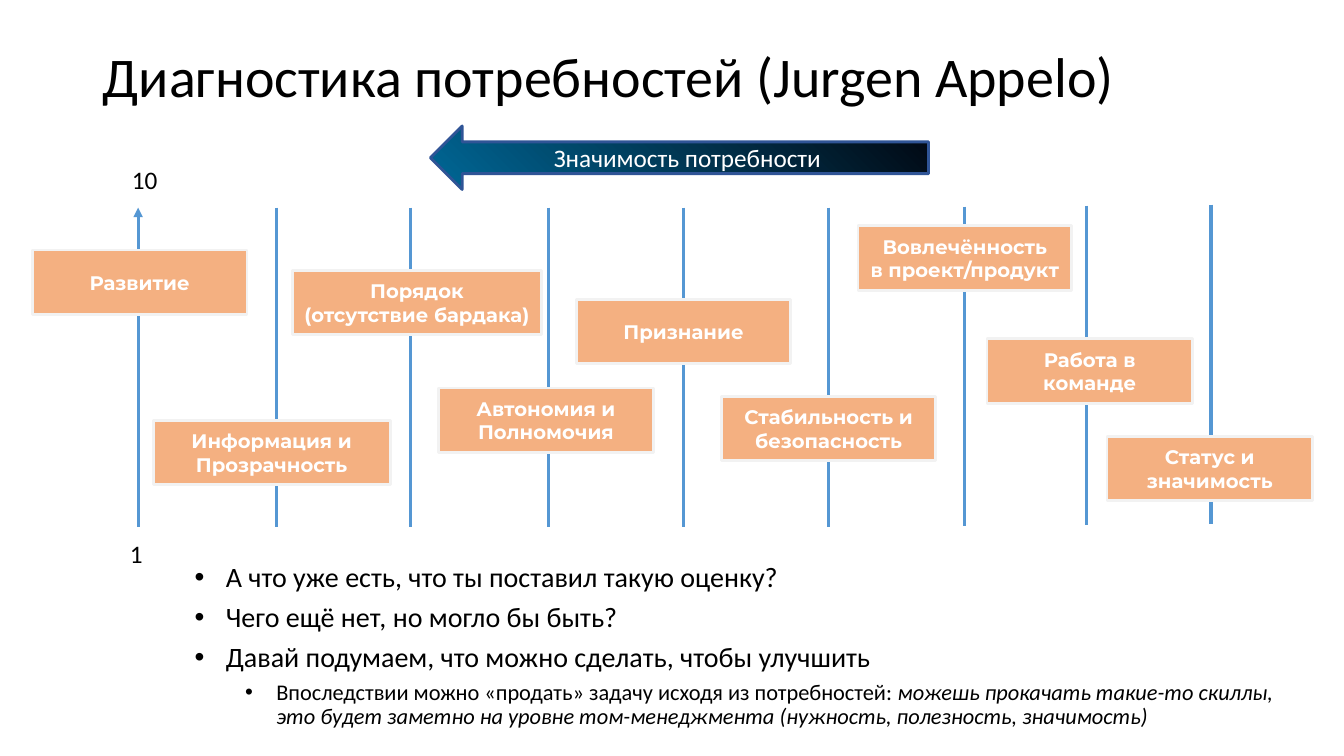
from lxml.etree import SubElement
from pptx import Presentation
from pptx.dml.color import RGBColor
from pptx.enum.shapes import MSO_CONNECTOR, MSO_SHAPE
from pptx.enum.text import MSO_ANCHOR, MSO_AUTO_SIZE, PP_ALIGN
from pptx.oxml.ns import qn
from pptx.util import Inches, Pt

COLORS = {
    "text": "000000",
    "light": "FFFFFF",
    "scale": "5597D3",
    "need": "F4B081",
    "need_border": "F2F2F2",
    "arrow_head": "006897",
    "arrow_tail": "010711",
    "arrow_border": "2F5496",
}

presentation = Presentation()
presentation.slide_width = Inches(13.33)
presentation.slide_height = Inches(7.5)
slide = presentation.slides.add_slide(presentation.slide_layouts[1])


def area(left, top, width, height):
    column = presentation.slide_width / 100
    row = presentation.slide_height / 100
    return [round(share * unit) for share, unit in
            ((left, column), (top, row), (width, column), (height, row))]


def write(paragraph, text, size, color="text", font="Calibri", bold=False, italic=False):
    for number, line in enumerate(text.split("\n")):
        if number:
            paragraph.add_line_break()
        run = paragraph.add_run()
        run.text = line
        run.font.size = Pt(size)
        run.font.name = font
        run.font.bold = bold
        run.font.italic = italic
        run.font.color.rgb = RGBColor.from_string(COLORS[color])


title = slide.shapes.title
title.left, title.top, title.width, title.height = area(6.9, 5.33, 86.27, 10.27)
title.text_frame.auto_size = MSO_AUTO_SIZE.NONE
title.text_frame.vertical_anchor = MSO_ANCHOR.MIDDLE
paragraph = title.text_frame.paragraphs[0]
paragraph.alignment = PP_ALIGN.LEFT
paragraph.line_spacing = 0.9
write(paragraph, "Диагностика потребностей (Jurgen Appelo)", 40)

questions = [
    (0, 20, ["А что уже есть, что ты поставил такую оценку?"]),
    (0, 20, ["Чего ещё нет, но могло бы быть?"]),
    (0, 20, ["Давай подумаем, что можно сделать, чтобы улучшить"]),
    (1, 16, ["Впоследствии можно «продать» задачу исходя из потребностей: ",
             "можешь прокачать такие-то скиллы, это будет заметно на уровне "
             "том-менеджмента (нужность, полезность, значимость)"]),
]
body = slide.placeholders[1]
body.left, body.top, body.width, body.height = area(13.73, 73.87, 82, 25.33)
body.text_frame.auto_size = MSO_AUTO_SIZE.NONE
for number, (level, size, parts) in enumerate(questions):
    paragraph = body.text_frame.add_paragraph() if number else body.text_frame.paragraphs[0]
    properties = paragraph._p.get_or_add_pPr()
    properties.set("marL", str(Inches(0.31 + 0.5 * level)))
    properties.set("indent", str(Inches(-0.31)))
    SubElement(properties, qn("a:buFont")).set("typeface", "Arial")
    SubElement(properties, qn("a:buChar")).set("char", "•")
    paragraph.level = level
    paragraph.line_spacing = 0.9
    paragraph.space_before = Pt((5 if level else 7) if number else 0)
    for position, part in enumerate(parts):
        write(paragraph, part, size, italic=position > 0)

needs = [
    ("Развитие", 10.28, 27.47, 2.4, 33.07, 15.98),
    ("Информация и Прозрачность", 20.56, 27.47, 11.4, 55.6, 17.63),
    ("Порядок\n(отсутствие бардака)", 30.53, 27.47, 21.76, 35.73, 18.53),
    ("Автономия и Полномочия", 40.81, 27.47, 32.63, 51.33, 15.98),
    ("Признание", 50.86, 27.47, 42.91, 39.6, 15.9),
    ("Стабильность и безопасность", 61.67, 27.47, 53.71, 52.4, 15.9),
    ("Вовлечённость\nв проект/продукт", 71.79, 27.33, 63.84, 29.87, 15.9),
    ("Работа в команде", 80.87, 27.2, 73.44, 44.8, 15.3),
    ("Статус и значимость", 90.1, 27.07, 82.37, 57.73, 15.3),
]
for number, (name, scale_x, scale_top, left, top, width) in enumerate(needs):
    x, start, _, length = area(scale_x, scale_top, 0, 42.27)
    scale = slide.shapes.add_connector(MSO_CONNECTOR.STRAIGHT, x, start, x, start + length)
    scale.line.color.rgb = RGBColor.from_string(COLORS["scale"])
    scale.line.width = Pt(2.25)
    SubElement(scale._element.spPr, qn("a:effectLst"))
    if number == 0:
        SubElement(scale.line._get_or_add_ln(), qn("a:headEnd")).set("type", "triangle")

    box = slide.shapes.add_shape(MSO_SHAPE.RECTANGLE, *area(left, top, width, 8.53))
    box.shadow.inherit = False
    box.fill.solid()
    box.fill.fore_color.rgb = RGBColor.from_string(COLORS["need"])
    box.line.color.rgb = RGBColor.from_string(COLORS["need_border"])
    box.line.width = Pt(2)
    box.text_frame.word_wrap = True
    box.text_frame.vertical_anchor = MSO_ANCHOR.MIDDLE
    paragraph = box.text_frame.paragraphs[0]
    paragraph.alignment = PP_ALIGN.CENTER
    write(paragraph, name, 14, "light", "Montserrat", bold=True)

for mark, left, top, width in (("10", 9.08, 21.07, 3.45), ("1", 8.93, 70.53, 2.48)):
    label = slide.shapes.add_textbox(*area(left, top, width, 5.33))
    label.text_frame.word_wrap = False
    write(label.text_frame.paragraphs[0], mark, 18)

arrow = slide.shapes.add_shape(MSO_SHAPE.LEFT_ARROW, *area(32.03, 16.67, 37.06, 8.4))
arrow.shadow.inherit = False
arrow.fill.gradient()
arrow.fill.gradient_angle = 45
for stop, position, color in zip(arrow.fill.gradient_stops, (0, 1), ("arrow_head", "arrow_tail")):
    stop.position = position
    stop.color.rgb = RGBColor.from_string(COLORS[color])
arrow.line.color.rgb = RGBColor.from_string(COLORS["arrow_border"])
arrow.line.width = Pt(2)
arrow.text_frame.word_wrap = True
arrow.text_frame.vertical_anchor = MSO_ANCHOR.MIDDLE
paragraph = arrow.text_frame.paragraphs[0]
paragraph.alignment = PP_ALIGN.CENTER
write(paragraph, "Значимость потребности", 18, "light")

presentation.save("out.pptx")
